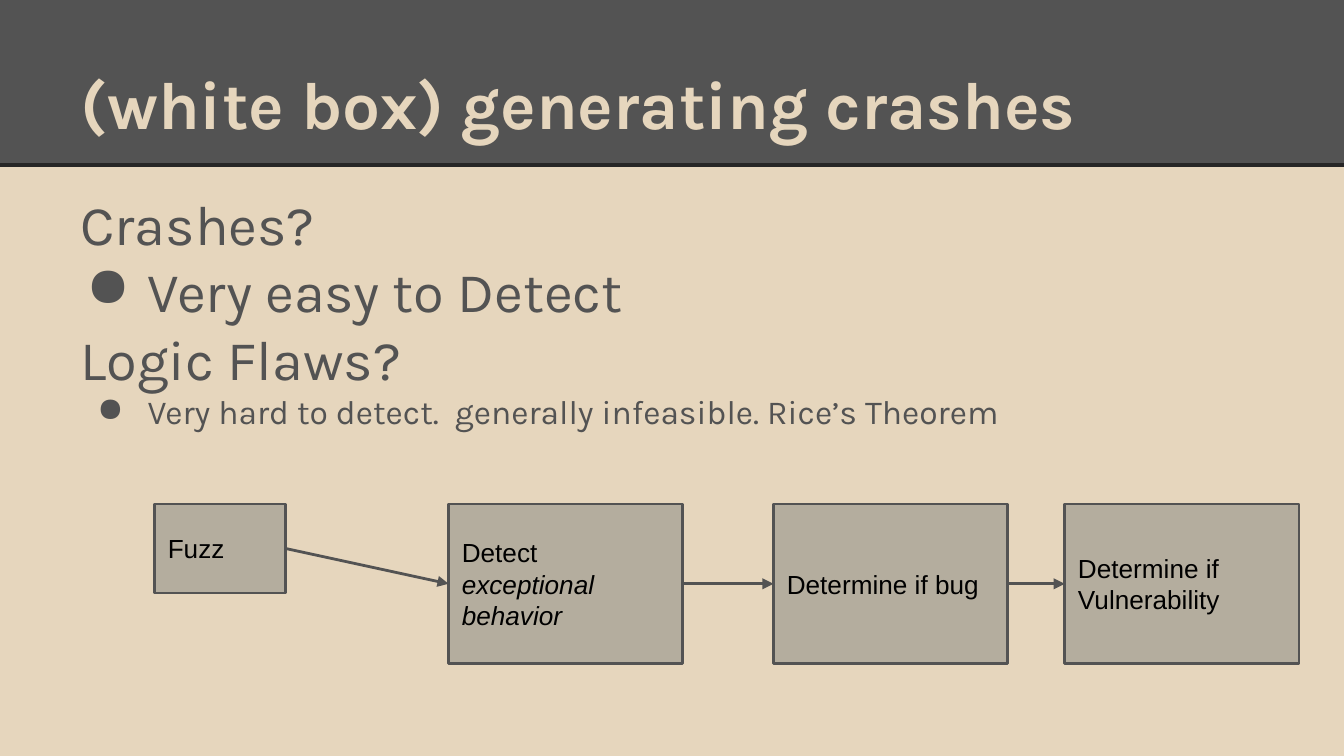
from dataclasses import dataclass

from lxml import etree
from pptx import Presentation
from pptx.dml.color import RGBColor
from pptx.enum.shapes import MSO_CONNECTOR, MSO_SHAPE
from pptx.enum.text import MSO_ANCHOR, PP_ALIGN
from pptx.oxml.ns import qn
from pptx.util import Pt

RECTANGLE = MSO_SHAPE.RECTANGLE
STRAIGHT = MSO_CONNECTOR.STRAIGHT
TOP, MIDDLE, BOTTOM = MSO_ANCHOR.TOP, MSO_ANCHOR.MIDDLE, MSO_ANCHOR.BOTTOM
LEFT = PP_ALIGN.LEFT

SAND = RGBColor(0xE6, 0xD6, 0xBD)
GRAY = RGBColor(0x53, 0x53, 0x53)
DARK = RGBColor(0x26, 0x26, 0x26)
STONE = RGBColor(0xB4, 0xAD, 0x9E)
BLACK = RGBColor(0, 0, 0)

PAGE_WIDTH, PAGE_HEIGHT = 720, 405
HEADER_HEIGHT = 88.5
INSET = 7.2
STEP_TOP = 270


@dataclass(frozen=True)
class Line:
    text: str
    size: float
    bold: bool = False
    italic: bool = False
    hanging: float = 0  # width kept for the bullet; 0 means no bullet


@dataclass(frozen=True)
class Step:
    left: float
    width: float
    height: float
    lines: tuple[Line, ...]

    @property
    def right(self) -> float:
        return self.left + self.width

    @property
    def middle(self) -> float:
        return STEP_TOP + self.height / 2


TITLE = (Line("(white box) generating crashes", 36, bold=True),)
BODY = (
    Line("Crashes?", 30),
    Line("Very easy to Detect", 30, hanging=33),
    Line("Logic Flaws?", 30),
    Line("Very hard to detect.  generally infeasible. Rice’s Theorem", 18, hanging=27),
)
STEPS = (
    Step(82.8, 70.2, 47.7, (Line("Fuzz", 14),)),
    Step(240.3, 125.5, 85.5,
         (Line("Detect", 14), Line("exceptional behavior", 14, italic=True))),
    Step(414.4, 125.5, 85.5, (Line("Determine if bug", 14),)),
    Step(570.4, 125.5, 85.5, (Line("Determine if Vulnerability", 14),)),
)


def add_bullet(para, hanging: float, color: RGBColor) -> None:
    properties = para._p.get_or_add_pPr()
    properties.set("marL", str(Pt(36)))
    properties.set("indent", str(-Pt(hanging)))
    bullet_color = etree.SubElement(properties, qn("a:buClr"))
    etree.SubElement(bullet_color, qn("a:srgbClr"), val=str(color))
    etree.SubElement(properties, qn("a:buChar"), char="●")


def write_text(box, lines: tuple[Line, ...], *, font: str, color: RGBColor,
               anchor: MSO_ANCHOR) -> None:
    frame = box.text_frame
    frame.word_wrap = True
    frame.vertical_anchor = anchor
    frame.margin_left = frame.margin_right = Pt(INSET)
    frame.margin_top = frame.margin_bottom = Pt(INSET)
    for index, line in enumerate(lines):
        para = frame.add_paragraph() if index else frame.paragraphs[0]
        para.alignment = LEFT
        if line.hanging:
            add_bullet(para, line.hanging, color)
        span = para.add_run()
        span.text = line.text
        span.font.name = font
        span.font.size = Pt(line.size)
        span.font.bold = line.bold
        span.font.italic = line.italic
        span.font.color.rgb = color


def add_text(page, left: float, top: float, width: float, height: float,
             lines: tuple[Line, ...], *, color: RGBColor, anchor: MSO_ANCHOR) -> None:
    box = page.shapes.add_textbox(Pt(left), Pt(top), Pt(width), Pt(height))
    write_text(box, lines, font="Karla", color=color, anchor=anchor)


def add_rectangle(page, left: float, top: float, width: float, height: float,
                  fill: RGBColor, outlined: bool):
    box = page.shapes.add_shape(RECTANGLE, Pt(left), Pt(top), Pt(width), Pt(height))
    box.shadow.inherit = False
    box.fill.solid()
    box.fill.fore_color.rgb = fill
    if outlined:
        box.line.color.rgb = GRAY
        box.line.width = Pt(1.5)
    else:
        box.line.fill.background()
    return box


def add_line(page, start: tuple[float, float], end: tuple[float, float],
             color: RGBColor, width: float, arrow: bool = False) -> None:
    line = page.shapes.add_connector(STRAIGHT, *map(Pt, start + end))
    line.line.color.rgb = color
    line.line.width = Pt(width)
    if arrow:
        etree.SubElement(line.line._get_or_add_ln(), qn("a:tailEnd"),
                         type="triangle", w="med", len="med")
    etree.SubElement(line._element.spPr, qn("a:effectLst"))


def main() -> None:
    deck = Presentation()
    deck.slide_width, deck.slide_height = Pt(PAGE_WIDTH), Pt(PAGE_HEIGHT)
    page = deck.slides.add_slide(deck.slide_layouts[6])
    page.background.fill.solid()
    page.background.fill.fore_color.rgb = SAND

    add_rectangle(page, 0, 0, PAGE_WIDTH, HEADER_HEIGHT, GRAY, outlined=False)
    add_line(page, (0, HEADER_HEIGHT), (PAGE_WIDTH, HEADER_HEIGHT), DARK, 2.25)
    add_text(page, 36, 16.5, 648, 67.5, TITLE, color=SAND, anchor=BOTTOM)
    add_text(page, 36, 94.5, 648, 293, BODY, color=GRAY, anchor=TOP)

    for step in STEPS:
        box = add_rectangle(page, step.left, STEP_TOP, step.width, step.height,
                            STONE, outlined=True)
        write_text(box, step.lines, font="Arial", color=BLACK, anchor=MIDDLE)
    for source, target in zip(STEPS, STEPS[1:]):
        add_line(page, (source.right, source.middle), (target.left, target.middle),
                 GRAY, 1.5, arrow=True)

    deck.save("out.pptx")


if __name__ == "__main__":
    main()
